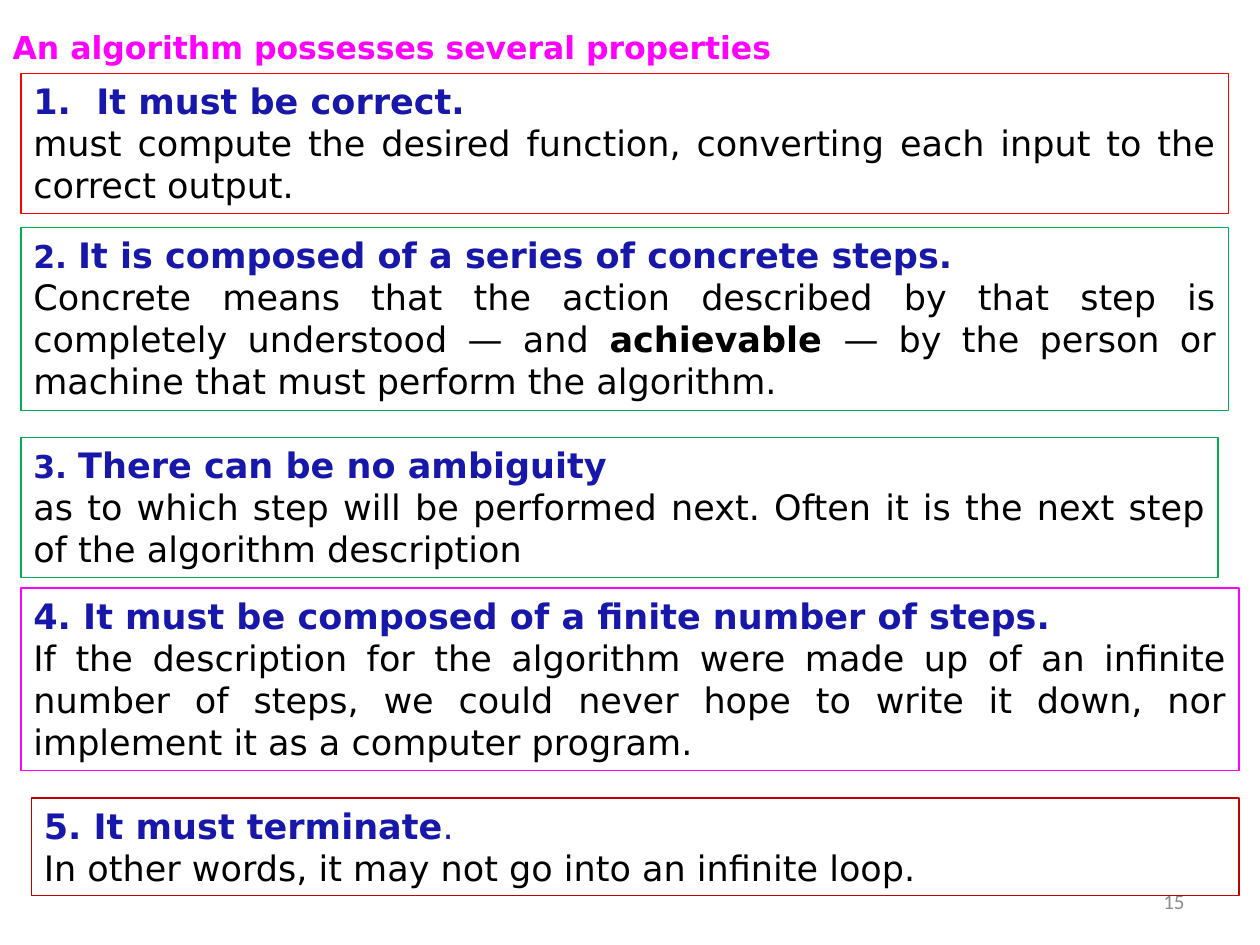
from pptx import Presentation
from pptx.util import Pt
from pptx.dml.color import RGBColor as RGB
from pptx.enum.shapes import MSO_SHAPE as Form
from pptx.enum.text import MSO_ANCHOR as Anchor, MSO_AUTO_SIZE as Fit, PP_ALIGN as Align
from lxml.etree import SubElement as Sub
from pptx.oxml.ns import qn

PINK = RGB(0xFF, 0x00, 0xFF)
RED = RGB(0xFF, 0x00, 0x00)
GREEN = RGB(0x00, 0xB0, 0x50)
WINE = RGB(0xC0, 0x00, 0x00)
NAVY = RGB(0x17, 0x17, 0xA9)
GREY = RGB(0x8C, 0x8C, 0x8C)
BLACK = RGB(0x00, 0x00, 0x00)


def write(line, text, size=20, color=BLACK, bold=False, face="DejaVu Sans"):
    run = line.add_run()
    run.text = text
    font = run.font
    font.name, font.size, font.bold = face, Pt(size), bold
    font.color.rgb = color


def number(line):
    props = line._p.get_or_add_pPr()
    props.set("marL", str(Pt(36)))
    props.set("indent", str(-Pt(36)))
    Sub(props, qn("a:buFont"), typeface="+mj-lt")
    Sub(props, qn("a:buAutoNum"), type="arabicPeriod")


class Deck:
    def __init__(self, wide, high):
        self.show = Presentation()
        self.show.slide_width, self.show.slide_height = Pt(wide), Pt(high)
        self.slide = self.show.slides.add_slide(self.show.slide_layouts[5])

    def place(self, shape, left, top, wide, high):
        shape.left, shape.top = Pt(left), Pt(top)
        shape.width, shape.height = Pt(wide), Pt(high)

    def title(self, text, *area):
        shape = self.slide.shapes.title
        self.place(shape, *area)
        frame = shape.text_frame
        frame.word_wrap = False
        frame.auto_size = Fit.SHAPE_TO_FIT_TEXT
        frame.vertical_anchor = Anchor.TOP
        line = frame.paragraphs[0]
        line.alignment = Align.LEFT
        write(line, text, size=18, color=PINK, bold=True)

    def card(self, area, edge, head, body, align=Align.JUSTIFY, auto=False):
        shape = self.slide.shapes.add_shape(Form.RECTANGLE, *map(Pt, area))
        shape.shadow.inherit = False
        shape.fill.background()
        shape.line.color.rgb = edge
        shape.line.width = Pt(0.75)
        frame = shape.text_frame
        frame.word_wrap = True
        frame.auto_size = Fit.SHAPE_TO_FIT_TEXT
        frame.vertical_anchor = Anchor.TOP
        lines = frame.paragraphs[0], frame.add_paragraph()
        for line, runs in zip(lines, (head, body)):
            line.alignment = align
            for text, form in runs:
                write(line, text, **form)
        if auto:
            number(lines[0])

    def page(self, text, *area):
        frame = self.slide.shapes.add_textbox(*map(Pt, area)).text_frame
        frame.word_wrap = True
        frame.vertical_anchor = Anchor.MIDDLE
        line = frame.paragraphs[0]
        line.alignment = Align.RIGHT
        write(line, text, size=12, color=GREY, face="Calibri")


HEAD = dict(color=NAVY, bold=True)
SMALL = dict(HEAD, size=18)
BOLD = dict(bold=True)
BODY = {}

deck = Deck(720, 540)
deck.title("An algorithm possesses several properties", 0, 12.24, 459.36, 28.8)
deck.card((12, 42, 690, 80), RED,
          [("It must be correct.", HEAD)],
          [("must compute the desired function, converting each input to the "
            "correct output.", BODY)], auto=True)
deck.card((12, 130, 690, 104.4), GREEN,
          [("2. ", SMALL), ("It is composed of a series of concrete steps.", HEAD)],
          [("Concrete means that the action described by that step is completely "
            "understood — and ", BODY), ("achievable ", BOLD),
           ("— by the person or machine that must perform the algorithm.", BODY)])
deck.page("15", 516, 500.5, 168, 28.8)
deck.card((12, 250, 684, 80), GREEN,
          [("3. ", SMALL), ("There can be no ambiguity", HEAD)],
          [("as to which step will be performed next. Often it is the next step "
            "of the algorithm description", BODY)])
deck.card((12, 336, 696, 104.4), PINK,
          [("4. It must be composed of a finite number of steps.", HEAD)],
          [("If the description for the algorithm were made up of an infinite "
            "number of steps, we could never hope to write it down, nor implement "
            "it as a computer program.", BODY)])
deck.card((18, 456, 690, 55.7), WINE,
          [("5. It must terminate", HEAD), (".", dict(color=NAVY))],
          [("In other words, it may not go into an infinite loop.", BODY)],
          align=Align.LEFT)
deck.show.save("out.pptx")
